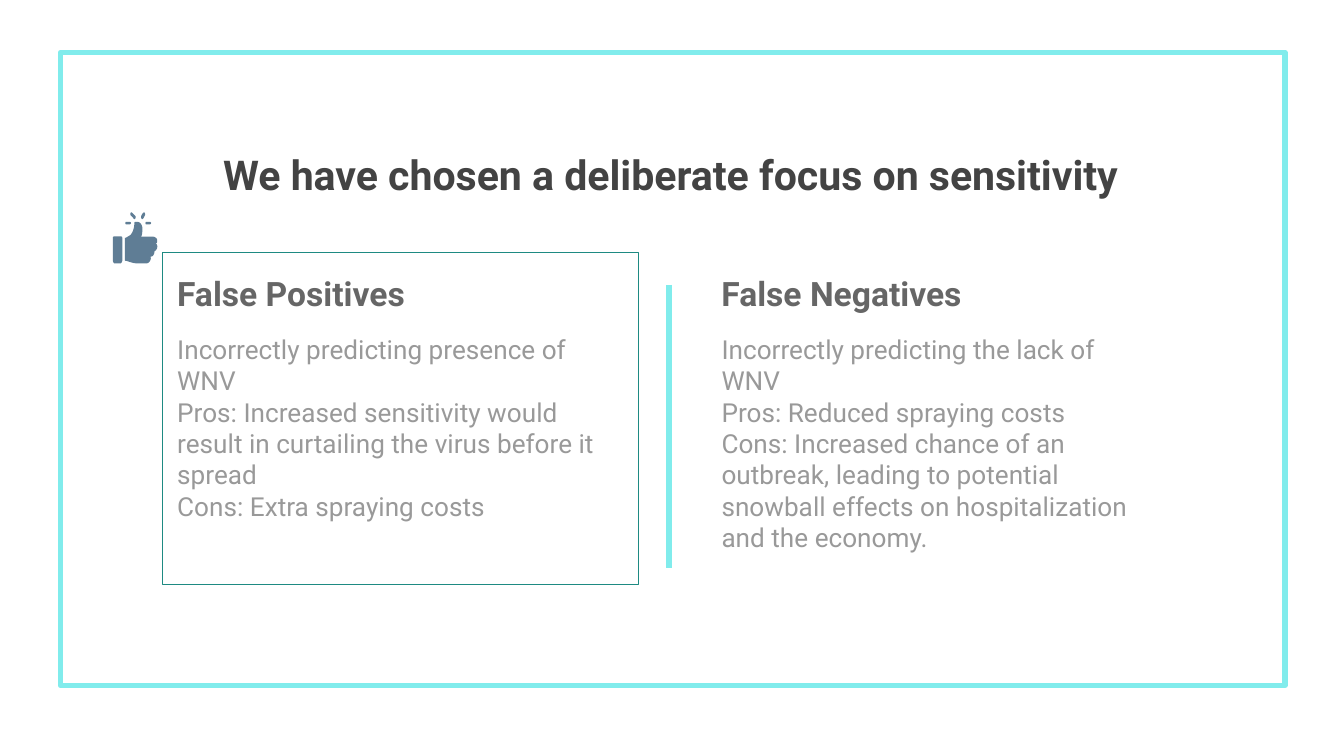
from lxml import etree
from pptx import Presentation
from pptx.dml.color import RGBColor
from pptx.enum.shapes import MSO_CONNECTOR, MSO_SHAPE
from pptx.enum.text import MSO_ANCHOR, PP_ALIGN
from pptx.oxml.ns import qn
from pptx.util import Inches, Pt

FONT = "Roboto"
AQUA, TEAL, ICON = "81ECEC", "1E8A82", "5F7D95"
DARK, MID, LIGHT = "434343", "666666", "999999"

COLUMNS = [
    (1.22, "False Positives", [
        "Incorrectly predicting presence of WNV",
        "Pros: Increased sensitivity would result in curtailing the virus before it spread",
        "Cons: Extra spraying costs",
    ]),
    (5.27, "False Negatives", [
        "Incorrectly predicting the lack of WNV",
        "Pros: Reduced spraying costs",
        "Cons: Increased chance of an outbreak, leading to potential snowball "
        "effects on hospitalization and the economy.",
    ]),
]

# Each outline: a start point, then lines (2 numbers) and curves (6 numbers)
SPARKS = [
    [(1.09, 1.65), (1.08, 1.65, 1.08, 1.67, 1.09, 1.67), (1.11, 1.67),
     (1.13, 1.67, 1.13, 1.65, 1.11, 1.65)],
    [(0.98, 1.58), (0.97, 1.58, 0.97, 1.59, 0.97, 1.6), (0.99, 1.62),
     (1, 1.64, 1.01, 1.63, 1.01, 1.61), (0.99, 1.59)],
    [(1.07, 1.58), (1.07, 1.58, 1.06, 1.59, 1.06, 1.59), (1.05, 1.61),
     (1.05, 1.63, 1.06, 1.64, 1.07, 1.62), (1.08, 1.6),
     (1.08, 1.59, 1.08, 1.58, 1.07, 1.58)],
    [(0.94, 1.65), (0.93, 1.65, 0.93, 1.67, 0.94, 1.67), (0.96, 1.67),
     (0.98, 1.67, 0.98, 1.65, 0.96, 1.65)],
]
CUFF = [(0.85, 1.76), (0.85, 1.76, 0.84, 1.76, 0.84, 1.77), (0.84, 1.94),
        (0.84, 1.95, 0.85, 1.96, 0.85, 1.96), (0.9, 1.96),
        (0.9, 1.96, 0.91, 1.95, 0.91, 1.94), (0.91, 1.77),
        (0.91, 1.76, 0.9, 1.76, 0.9, 1.76)]
HAND = [(1.01, 1.65), (1, 1.65, 1, 1.66, 1, 1.66),
        (1, 1.69, 0.99, 1.73, 0.97, 1.75), (0.95, 1.76, 0.94, 1.77, 0.93, 1.77),
        (0.93, 1.94), (0.95, 1.94, 0.98, 1.96, 1.02, 1.96), (1.09, 1.96),
        (1.11, 1.96, 1.13, 1.93, 1.12, 1.91), (1.14, 1.91, 1.15, 1.89, 1.15, 1.87),
        (1.17, 1.86, 1.18, 1.83, 1.16, 1.81), (1.17, 1.81, 1.17, 1.8, 1.17, 1.79),
        (1.17, 1.77, 1.15, 1.76, 1.13, 1.76), (1.05, 1.76),
        (1.06, 1.75, 1.06, 1.71, 1.06, 1.7), (1.06, 1.67, 1.04, 1.65, 1.02, 1.65)]


def rgb(value):
    return RGBColor.from_string(value)


def add_frame(slide, x, y, w, h, color, width):
    s = slide.shapes.add_shape(MSO_SHAPE.RECTANGLE, Inches(x), Inches(y),
                               Inches(w), Inches(h))
    s.shadow.inherit = False
    s.fill.background()
    s.line.color.rgb = rgb(color)
    s.line.width = Pt(width)


def add_divider(slide, x, top, bottom, color, width):
    s = slide.shapes.add_connector(MSO_CONNECTOR.STRAIGHT, Inches(x), Inches(top),
                                   Inches(x), Inches(bottom))
    s.line.color.rgb = rgb(color)
    s.line.width = Pt(width)
    etree.SubElement(s._element.spPr, qn("a:effectLst"))


def add_text(slide, x, y, w, h, lines, size, color, bold=False,
             align=PP_ALIGN.LEFT, anchor=MSO_ANCHOR.TOP):
    tf = slide.shapes.add_textbox(Inches(x), Inches(y), Inches(w), Inches(h)).text_frame
    tf.word_wrap = True
    tf.vertical_anchor = anchor
    tf.margin_left = tf.margin_right = tf.margin_top = tf.margin_bottom = Inches(0.1)
    tf.text = "\n".join(lines)
    for p in tf.paragraphs:
        p.alignment = align
        for r in p.runs:
            r.font.name = FONT
            r.font.size = Pt(size)
            r.font.bold = bold
            r.font.color.rgb = rgb(color)


def trace(outline, steps=6):
    """Turn lines and Bezier curves into a list of points."""
    points = [outline[0]]
    for segment in outline[1:]:
        if len(segment) == 2:
            points.append(segment)
            continue
        controls = [points[-1], segment[:2], segment[2:4], segment[4:]]
        for i in range(1, steps + 1):
            t = i / steps
            weights = ((1 - t) ** 3, 3 * t * (1 - t) ** 2, 3 * t * t * (1 - t), t ** 3)
            points.append(tuple(sum(k * c[axis] for k, c in zip(weights, controls))
                                for axis in (0, 1)))
    return points


def add_icon(slide, outlines, color):
    group = slide.shapes.add_group_shape()
    for outline in outlines:
        points = [(Inches(x), Inches(y)) for x, y in trace(outline)]
        builder = group.shapes.build_freeform(*points[0])
        builder.add_line_segments(points[1:], close=True)
        s = builder.convert_to_shape()
        s.shadow.inherit = False
        s.fill.solid()
        s.fill.fore_color.rgb = rgb(color)
        s.line.fill.background()


def main():
    # 16:9 slide
    prs = Presentation()
    prs.slide_width = Inches(10)
    prs.slide_height = prs.slide_width * 9 // 16
    slide = prs.slides.add_slide(prs.slide_layouts[6])

    # Border and divider
    add_frame(slide, 0.45, 0.39, 9.11, 4.71, AQUA, 3)
    add_divider(slide, 4.98, 2.12, 4.23, AQUA, 3)

    # Title and the two columns
    add_text(slide, -0.01, 1.01, 10, 0.53,
             ["We have chosen a deliberate focus on sensitivity"],
             22, DARK, bold=True, align=PP_ALIGN.CENTER)
    for x, heading, body in COLUMNS:
        add_text(slide, x, 1.72, 3.47, 0.71, [heading], 18, MID, bold=True,
                 anchor=MSO_ANCHOR.BOTTOM)
        add_text(slide, x, 2.38, 3.39, 1.22, body, 14, LIGHT)

    # Thumbs-up and box marking the chosen column
    add_icon(slide, SPARKS + [CUFF, HAND], ICON)
    add_frame(slide, 1.21, 1.88, 3.54, 2.47, TEAL, 0.75)

    prs.save("out.pptx")


if __name__ == "__main__":
    main()
